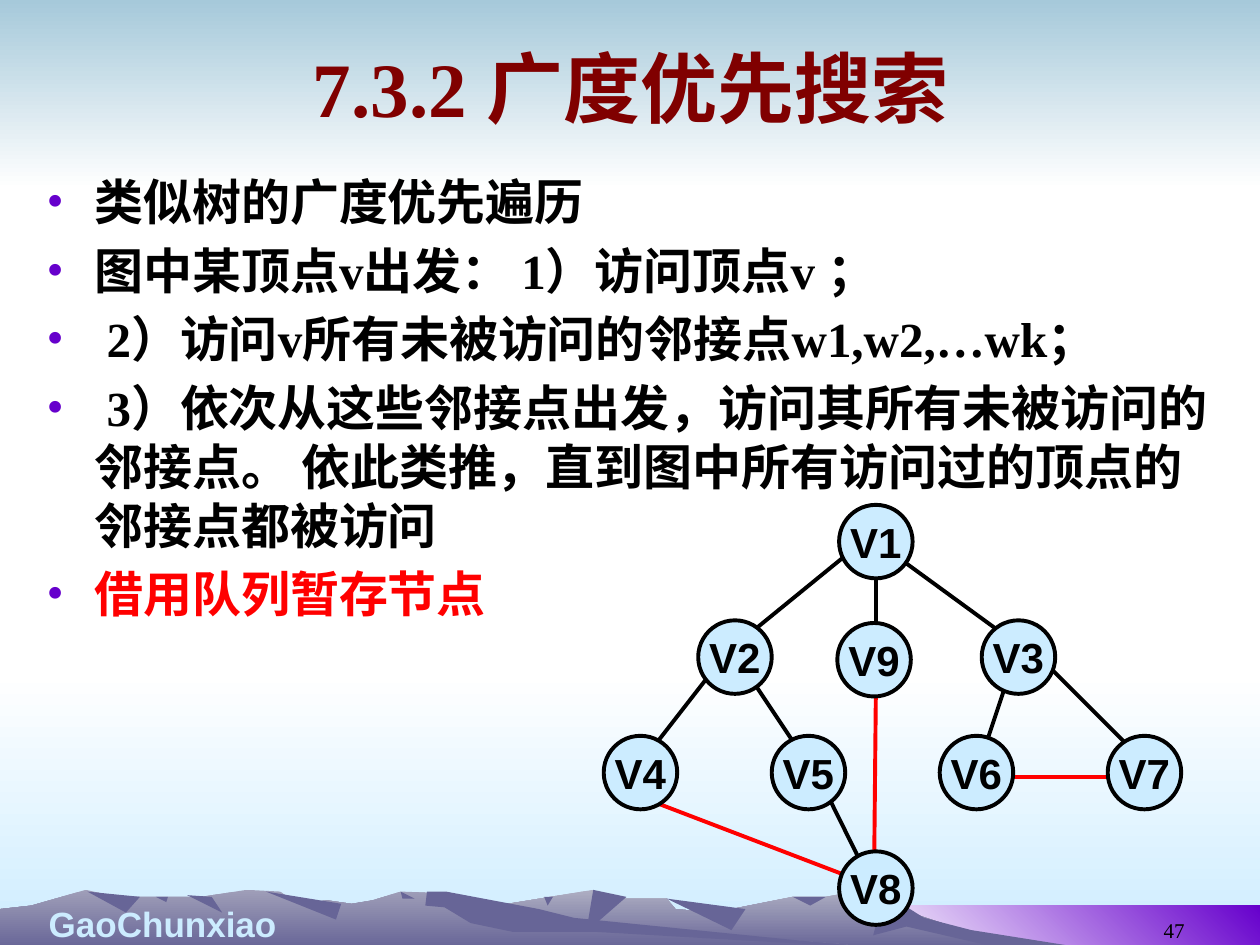
from lxml.etree import SubElement
from pptx import Presentation
from pptx.dml.color import RGBColor
from pptx.enum.shapes import MSO_CONNECTOR, MSO_SHAPE
from pptx.enum.text import MSO_ANCHOR as ANCHOR, PP_ALIGN as ALIGN
from pptx.oxml.ns import qn
from pptx.util import Pt

COLORS = {
    "white": "FFFFFF", "black": "000000", "red": "FF0000", "maroon": "800000",
    "violet": "6600CC", "ice": "CCECFF", "sky": "A6C9DA", "slate": "676597",
    "far haze": "AEAEC2", "near haze": "9F9EB8",
}


def write(frame, text, size=28, font="Times New Roman", color="black", bold=True,
          align=ALIGN.LEFT, anchor=ANCHOR.TOP, wrap=True, bullet=None, before=0):
    """Append text as a paragraph, using the frame's empty first one if there is one."""
    frame.word_wrap = wrap
    frame.vertical_anchor = anchor
    paragraph = frame.paragraphs[0] if not frame.text else frame.add_paragraph()
    paragraph.alignment = align
    if before:
        paragraph.space_before = Pt(before)
    if bullet:
        props = paragraph._p.get_or_add_pPr()
        props.set("marL", str(Pt(27.36)))
        props.set("indent", str(Pt(-27.36)))
        tint = SubElement(props, qn("a:buClr"))
        SubElement(tint, qn("a:srgbClr"), val=COLORS[bullet])
        SubElement(props, qn("a:buFont"), typeface=font)
        SubElement(props, qn("a:buChar"), char="•")
    run = paragraph.add_run()
    run.text = text
    run.font.size, run.font.name, run.font.bold = Pt(size), font, bold
    run.font.color.rgb = RGBColor.from_string(COLORS[color])


def paint(shape, *names, angle=270):
    """Fill with one colour, or a gradient between two, and drop line and shadow."""
    shape.shadow.inherit = False
    shape.line.fill.background()
    if len(names) == 1:
        shape.fill.solid()
        shape.fill.fore_color.rgb = RGBColor.from_string(COLORS[names[0]])
        return
    shape.fill.gradient()
    shape.fill.gradient_angle = angle
    for stop, name in zip(shape.fill.gradient_stops, names):
        stop.color.rgb = RGBColor.from_string(COLORS[name])


prs = Presentation()
prs.slide_width, prs.slide_height = Pt(720), Pt(540)
slide = prs.slides.add_slide(prs.slide_layouts[6])
shapes = slide.shapes

# Background bands
for box, band_colors, angle in [
    ((0, 384, 720, 156), ("white", "ice"), 270),
    ((0, 0, 720, 108), ("sky", "white"), 270),
    ((492, 517.5, 228, 24), ("white", "violet"), 45),
]:
    band = shapes.add_shape(MSO_SHAPE.RECTANGLE, *map(Pt, box))
    paint(band, *band_colors, angle=angle)

# Mountains: every point is (x, height above the foot of the mountains).
# A range is its crest line; a shadow is a triangle of peak, far end and foot.
MOUNTAIN_FOOT = 541.5
FAR_CREST = [(186, 0), (235, 15), (284, 24), (339, 33), (350, 28), (381, 28), (386, 22),
             (408, 20), (453, 29), (472, 29), (493, 33), (505, 29), (520, 20), (550, 10),
             (591, 0)]
NEAR_CREST = [(0, 0), (0, 22), (18, 24), (49, 33), (67, 29), (115, 29), (141, 33),
              (160, 32), (170, 25), (187, 27), (201, 25), (213, 27), (229, 32), (255, 31),
              (311, 15), (480, 2), (497, 0)]
EAST_SLOPE = [(493, 33), (509, 29), (528, 17), (555, 10), (618, 0), (570, 0), (518, 12),
              (499, 7), (502, 18)]
LONG_SLOPE = [(244, 32), (255, 32), (308, 22), (328, 17), (497, 0), (340, 9), (293, 9),
              (269, 14), (254, 23), (243, 24)]
FAR_SHADOWS = [
    [(339, 33), (358, 29), (335, 9)],
    [(381, 28), (426, 22), (418, 10)],
    [(453, 29), (472, 29), (463, 24)],
    [(311, 29), (316, 29), (313, 24)],
]
NEAR_SHADOWS = [
    [(152, 32), (195, 25), (192, 16)],
    [(229, 32), (237, 28), (230, 28)],
    [(107, 30), (121, 29), (127, 20)],
    [(89, 29), (96, 29), (95, 26)],
    [(50, 32), (80, 29), (72, 20)],
]
for haze, crest, shadows in [
    ("far haze", FAR_CREST, [EAST_SLOPE, *FAR_SHADOWS]),
    ("near haze", NEAR_CREST, [LONG_SLOPE, *NEAR_SHADOWS]),
]:
    for outline in [crest, *shadows]:
        points = [(Pt(x), Pt(MOUNTAIN_FOOT - height)) for x, height in outline]
        builder = shapes.build_freeform(*points[0])
        builder.add_line_segments(points[1:], close=True)
        mountain_colors = (haze, "slate") if outline is crest else ("slate",)
        paint(builder.convert_to_shape(), *mountain_colors)

# Footer, page number and title
for box, words, style in [
    ((0, 512, 186, 32), "GaoChunxiao",
     dict(size=20, font="Arial", color="ice", align=ALIGN.CENTER)),
    ((516, 506, 168, 36), "47",
     dict(size=12, bold=False, align=ALIGN.RIGHT, anchor=ANCHOR.BOTTOM)),
    ((36.5, 9.5, 648, 80.5), "7.3.2 广度优先搜索",
     dict(size=44, color="maroon", align=ALIGN.CENTER, anchor=ANCHOR.MIDDLE)),
]:
    write(shapes.add_textbox(*map(Pt, box)).text_frame, words, **style)

# Steps of the search
steps = shapes.add_textbox(Pt(19.5), Pt(94.5), Pt(680.5), Pt(408)).text_frame
for number, (step, color) in enumerate([
    ("类似树的广度优先遍历", "black"),
    ("图中某顶点v出发： 1）访问顶点v ；", "black"),
    (" 2）访问v所有未被访问的邻接点w1,w2,…wk；", "black"),
    (" 3）依次从这些邻接点出发，访问其所有未被访问的邻接点。 "
     "依此类推，直到图中所有访问过的顶点的邻接点都被访问", "black"),
    ("借用队列暂存节点", "red"),
]):
    write(steps, step, color=color, bullet="violet", before=5.6 if number else 0)

# Vertex centres: one row per tree level, the leaves evenly spaced
DIAMETER, ROOT_Y, LEVEL_GAP = 42, 309.5, 66
LEAF_X, LEAF_GAP = 366, 96
levels = [ROOT_Y + LEVEL_GAP * level for level in range(4)]
centres = {"V1": (500.5, levels[0]), "V2": (420, levels[1]), "V3": (582, levels[1])}
for i in range(4):
    centres[f"V{4 + i}"] = (LEAF_X + LEAF_GAP * i, levels[2])
centres["V8"] = (500.5, levels[3])
centres["V9"] = (499.5, levels[1] + 1.5)

# Edges, drawn under the vertices: each end is an offset from its vertex's centre
UPPER_LEFT, UPPER_RIGHT = (-3, -9), (3, -9)
TREE_EDGES = [
    ("V1", (0, 12.5), "V9", (1, -4)),
    ("V3", (15, 3), "V7", UPPER_LEFT),
    ("V3", (-3, 3), "V6", UPPER_RIGHT),
    ("V5", (9, 9), "V8", (-6, -9.5)),
    ("V2", (3, 3), "V5", UPPER_LEFT),
    ("V2", (-9, 3), "V4", UPPER_RIGHT),
    ("V1", (12, 8.5), "V3", UPPER_LEFT),
    ("V1", (-18, 8.5), "V2", UPPER_RIGHT),
]
CROSS_EDGES = [
    ("V8", (-1, -10), "V9", (1, 19.5)),
    ("V6", (3, 2.5), "V7", (-3, 2.5)),
    ("V4", (3, 15), "V8", (-6, -3)),
]
for color, edges in [("red", CROSS_EDGES), ("black", TREE_EDGES)]:
    for start, start_offset, end, end_offset in edges:
        ends = [Pt(centre + shift)
                for vertex, offset in [(start, start_offset), (end, end_offset)]
                for centre, shift in zip(centres[vertex], offset)]
        edge = shapes.add_connector(MSO_CONNECTOR.STRAIGHT, *ends)
        edge.line.color.rgb = RGBColor.from_string(COLORS[color])
        edge.line.width = Pt(2.25)
        SubElement(edge._element.spPr, qn("a:effectLst"))

for label, (x, y) in centres.items():
    vertex = shapes.add_shape(MSO_SHAPE.OVAL, Pt(x - DIAMETER / 2), Pt(y - DIAMETER / 2),
                              Pt(DIAMETER), Pt(DIAMETER))
    paint(vertex, "ice")
    vertex.line.color.rgb = RGBColor.from_string(COLORS["black"])
    vertex.line.width = Pt(2.25)
    write(vertex.text_frame, label, size=24, font="Arial", align=ALIGN.CENTER,
          anchor=ANCHOR.MIDDLE, wrap=False)

prs.save("out.pptx")
